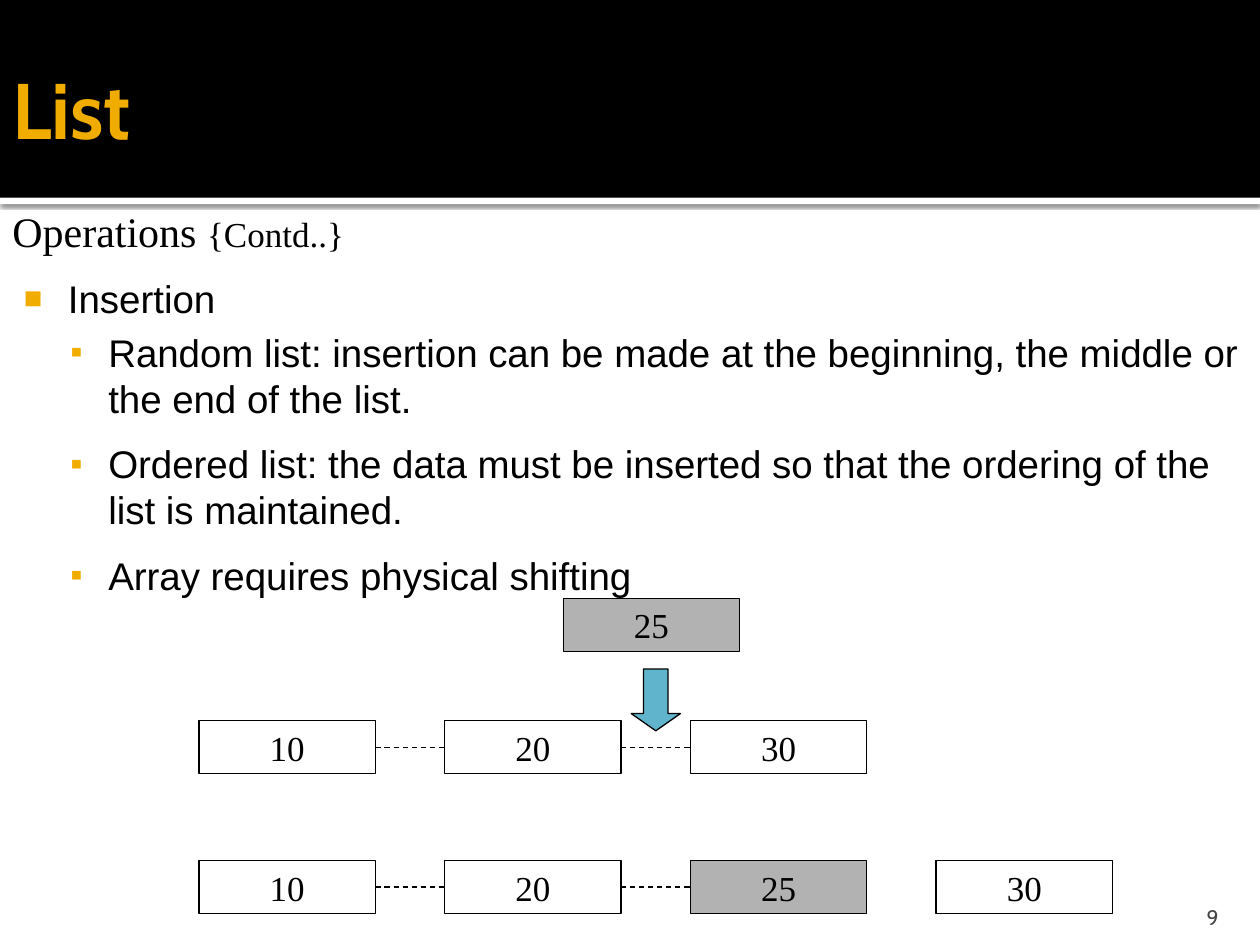
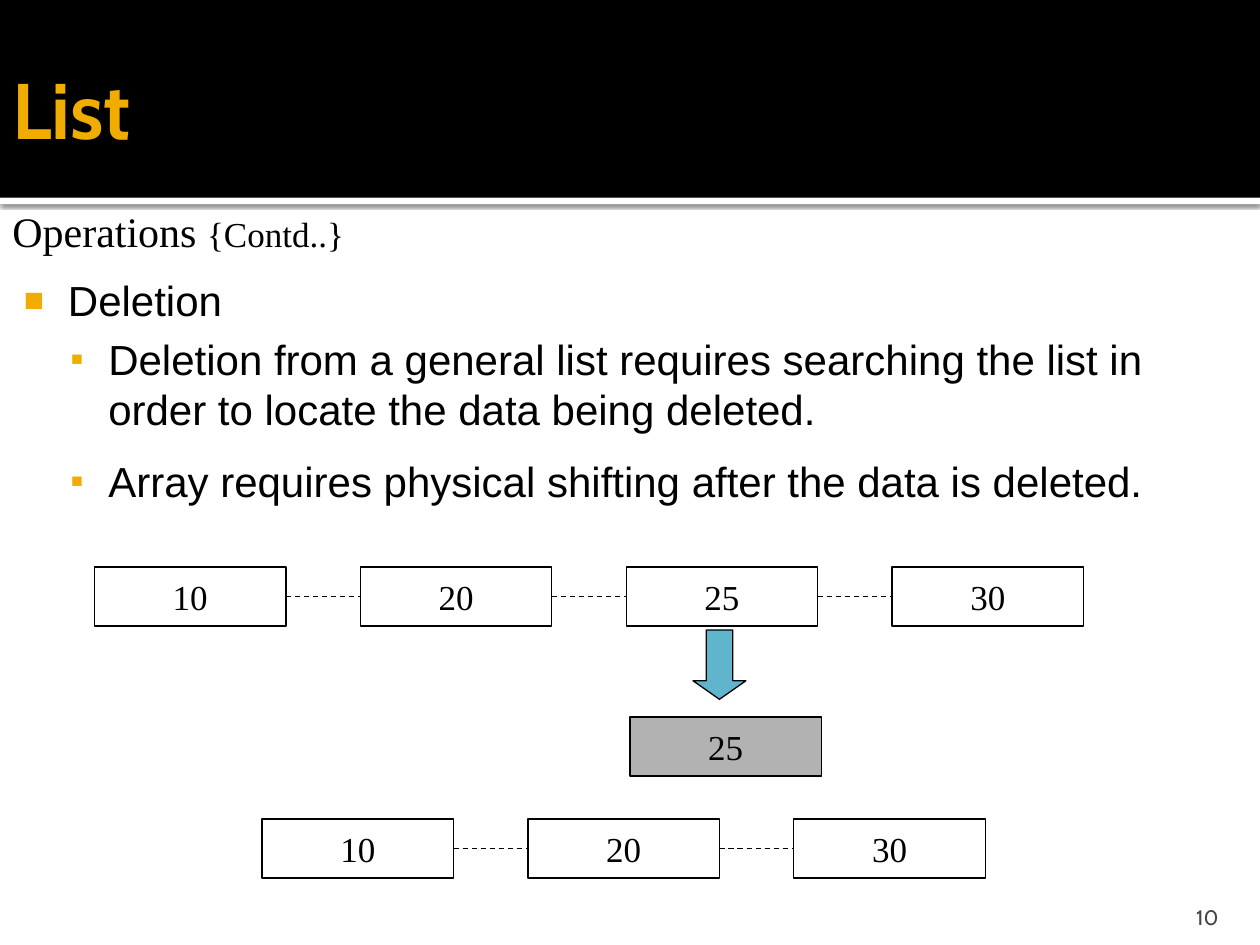
from lxml import etree
from pptx import Presentation
from pptx import util as u
from pptx.dml import color
from pptx.enum import dml, shapes, text
from pptx.oxml import ns

BLACK, WHITE, GOLD = "000000", "FFFFFF", "F0AD00"
GREY, BLUE, NUMBER_GREY = "B2B2B2", "60B5CC", "454545"
HEADING, BODY, SERIF = "Cabin", "Arial", "Times New Roman"
BULLETS = [("■", 80, 0.48, -0.35), ("▪", 90, 0.8, -0.3)]


def rgb(value):
    return color.RGBColor.from_string(value)


def lengths(values):
    return [u.Inches(value) for value in values]


def add_xml(parent, tag, **attributes):
    return etree.SubElement(parent, ns.qn(tag), attributes)


def format_run(run, size, font, ink=BLACK, bold=False):
    run.font.size = u.Pt(size)
    run.font.name = font
    run.font.color.rgb = rgb(ink)
    run.font.bold = bold


def add_block(slide, kind, box, fill=None, line=None):
    shape = slide.shapes.add_shape(kind, *lengths(box))
    shape.shadow.inherit = False
    if fill:
        shape.fill.solid()
        shape.fill.fore_color.rgb = rgb(fill)
    else:
        shape.fill.background()
    if line:
        shape.line.color.rgb = rgb(line)
        shape.line.width = u.Pt(0.75)
    else:
        shape.line.fill.background()
    return shape


def add_text(slide, box, insets=(0.1, 0.05, 0.1, 0.05), anchor=text.MSO_ANCHOR.TOP, wrap=True):
    frame = slide.shapes.add_textbox(*lengths(box)).text_frame
    frame.margin_left, frame.margin_top, frame.margin_right, frame.margin_bottom = lengths(insets)
    frame.vertical_anchor = anchor
    frame.word_wrap = wrap
    return frame


def add_header(slide, box, title):
    left, top, width, height = box
    strip = add_block(slide, shapes.MSO_SHAPE.RECTANGLE, (left, top + height, width, 0.05), WHITE)
    effects = strip._element.spPr.find(ns.qn("a:effectLst"))
    shadow = add_xml(effects, "a:outerShdw", blurRad=str(u.Pt(2.5)), dist=str(u.Pt(0.8)),
                     dir="5400000", algn="t", rotWithShape="0")
    add_xml(add_xml(shadow, "a:srgbClr", val=BLACK), "a:alpha", val="60000")
    add_block(slide, shapes.MSO_SHAPE.RECTANGLE, box, BLACK)

    frame = add_text(slide, (left, top + 0.17, width - 0.5, height - 0.2),
                     (0.1, 0.05, 0.05, 0.05), text.MSO_ANCHOR.MIDDLE)
    frame.text = title
    format_run(frame.paragraphs[0].runs[0], 45, HEADING, GOLD, True)


def add_subtitle(slide, box, parts):
    frame = add_text(slide, box, wrap=False)
    frame.auto_size = text.MSO_AUTO_SIZE.SHAPE_TO_FIT_TEXT
    for wording, size in parts:
        run = frame.paragraphs[0].add_run()
        run.text = wording
        format_run(run, size, SERIF)


def add_page_number(slide, box, number):
    frame = add_text(slide, box, (0.1, 0.05, 0.1, 0), text.MSO_ANCHOR.BOTTOM)
    frame.text = str(number)
    frame.paragraphs[0].alignment = text.PP_ALIGN.RIGHT
    format_run(frame.paragraphs[0].runs[0], 12, HEADING, NUMBER_GREY)


def add_bullets(slide, box, size, heading, points):
    frame = add_text(slide, box, (0.06, 0.1, 0.1, 0.05))
    for index, wording in enumerate([heading] + points):
        paragraph = frame.paragraphs[0] if index == 0 else frame.add_paragraph()
        paragraph.text = wording
        paragraph.level = min(index, 1)
        paragraph.space_before = u.Pt(size * (0, 0.2, 0.5)[min(index, 2)])
        format_run(paragraph.runs[0], size, BODY)
        mark, percent, margin, indent = BULLETS[paragraph.level]
        properties = paragraph._p.get_or_add_pPr()
        properties.set("marL", str(u.Inches(margin)))
        properties.set("indent", str(u.Inches(indent)))
        add_xml(add_xml(properties, "a:buClr"), "a:srgbClr", val=GOLD)
        add_xml(properties, "a:buSzPct", val=str(percent * 1000))
        add_xml(properties, "a:buFont", typeface=BODY)
        add_xml(properties, "a:buChar", char=mark)


def add_node(slide, box, value, fill=None):
    node = add_block(slide, shapes.MSO_SHAPE.RECTANGLE, box, fill, BLACK)
    frame = node.text_frame
    frame.text = str(value)
    frame.word_wrap = False
    frame.vertical_anchor = text.MSO_ANCHOR.MIDDLE
    frame.paragraphs[0].alignment = text.PP_ALIGN.CENTER
    format_run(frame.paragraphs[0].runs[0], 20, SERIF)
    return node


def add_link(slide, start, end):
    link = slide.shapes.add_connector(shapes.MSO_CONNECTOR.STRAIGHT, 0, 0, 0, 0)
    link.begin_connect(start, 3)
    link.end_connect(end, 1)
    link.line.color.rgb = rgb(BLACK)
    link.line.width = u.Pt(0.75)
    link.line.dash_style = dml.MSO_LINE.DASH
    add_xml(link._element.spPr, "a:effectLst")


def add_node_row(slide, first_box, pitch, values, link_count, shaded=None):
    left, top, width, height = first_box
    nodes = [add_node(slide, (left + index * pitch, top, width, height), value,
                      GREY if value == shaded else None)
             for index, value in enumerate(values)]
    for start, end in list(zip(nodes, nodes[1:]))[:link_count]:
        add_link(slide, start, end)


def add_down_arrow(slide, box):
    arrow = add_block(slide, shapes.MSO_SHAPE.DOWN_ARROW, box, BLUE, BLACK)
    arrow.adjustments[0] = 0.5
    arrow.adjustments[1] = 0.35


def add_insertion_diagram(slide, box):
    left, top, _, _ = box
    width, height, pitch = 1.4, 0.42, 1.95
    add_node_row(slide, (left, top + 0.97, width, height), pitch, [10, 20, 30], 2)
    add_node(slide, (left + 2.89, top, width, height), 25, GREY)
    add_node_row(slide, (left, top + 2.08, width, height), pitch, [10, 20, 25, 30], 2, 25)
    add_down_arrow(slide, (left + 3.43, top + 0.56, 0.39, 0.49))


def add_deletion_diagram(slide, box):
    left, top, _, _ = box
    width, height, pitch = 1.52, 0.47, 2.11
    add_node(slide, (left + 4.25, top + 1.19, width, height), 25, GREY)
    add_node_row(slide, (left + 1.33, top + 2, width, height), pitch, [10, 20, 30], 2)
    add_down_arrow(slide, (left + 4.75, top + 0.5, 0.42, 0.55))
    add_node_row(slide, (left, top, width, height), pitch, [10, 20, 25, 30], 3)


def add_list_slide(presentation, number, body_height, size, heading, points,
                   add_diagram, diagram_box):
    slide = presentation.slides.add_slide(presentation.slide_layouts[6])
    add_header(slide, (0, 0, 10, 1.57), "List")
    add_bullets(slide, (0, 2.08, 10, body_height), size, heading, points)
    add_page_number(slide, (8.97, 7.08, 0.8, 0.3), number)
    add_subtitle(slide, (0, 1.58, 2.86, 0.5), [("Operations ", 24), ("{Contd..}", 20)])
    add_diagram(slide, diagram_box)


def main():
    presentation = Presentation()
    presentation.slide_width, presentation.slide_height = lengths((10, 7.5))
    add_list_slide(presentation, 9, 2.58, 22, "Insertion", [
        "Random list: insertion can be made at the beginning, the middle or the end of the list.",
        "Ordered list: the data must be inserted so that the ordering of the list is maintained.",
        "Array requires physical shifting",
    ], add_insertion_diagram, (1.58, 4.75, 7.25, 2.5))
    add_list_slide(presentation, 10, 2.17, 24, "Deletion", [
        "Deletion from a general list requires searching the list in order to locate the data "
        "being deleted.",
        "Array requires physical shifting after the data is deleted.",
    ], add_deletion_diagram, (0.75, 4.5, 7.85, 2.47))
    presentation.save("out.pptx")


if __name__ == "__main__":
    main()
